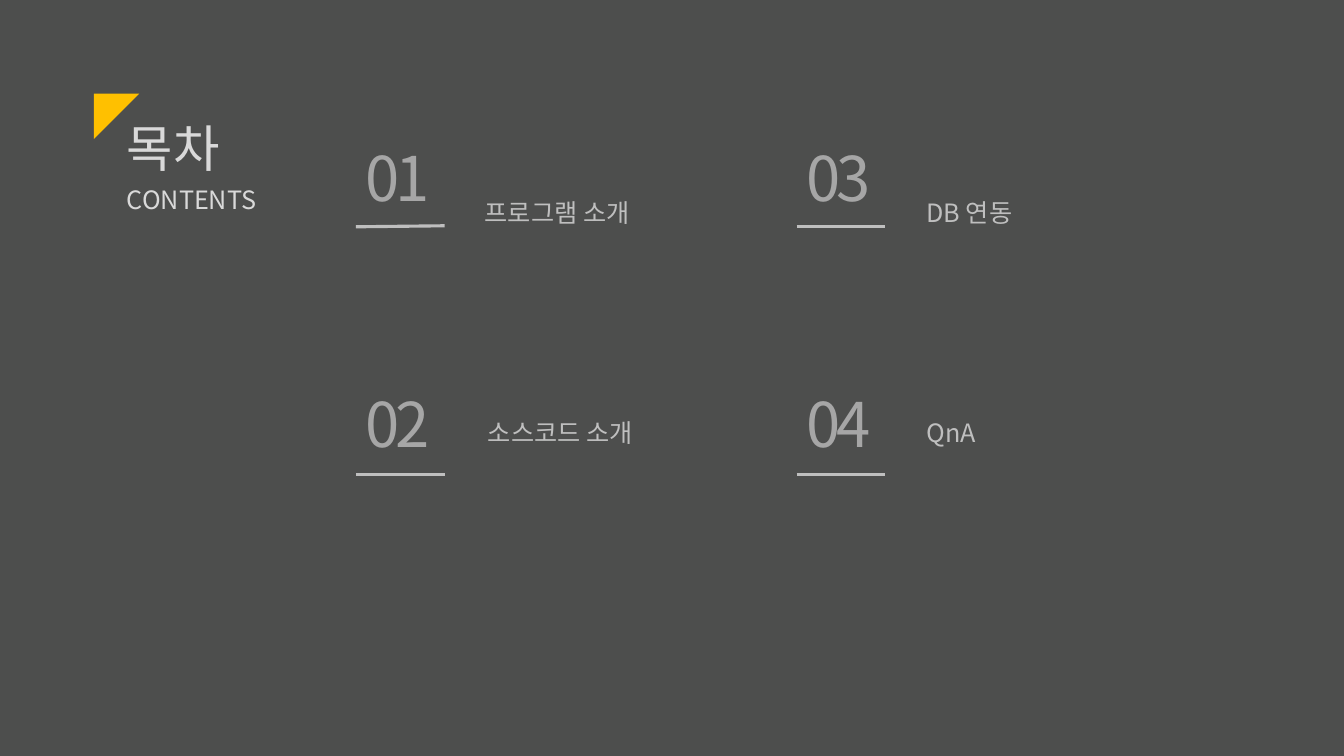
from lxml.etree import SubElement
from pptx import Presentation
from pptx.dml.color import RGBColor
from pptx.enum.shapes import MSO_CONNECTOR, MSO_SHAPE
from pptx.enum.text import MSO_AUTO_SIZE
from pptx.oxml.ns import qn
from pptx.util import Inches, Pt

COLORS = {
    "background": "4D4E4D",
    "heading": "D9D9D9",
    "number": "A6A6A6",
    "topic": "BFBFBF",
    "accent": "FFC000",
}


class ContentsSlide:
    font = "Noto Sans CJK KR"

    def __init__(self, deck):
        self.slide = deck.slides.add_slide(deck.slide_layouts[6])
        background = self.slide.background.fill
        background.solid()
        background.fore_color.rgb = self.color("background")

    def color(self, name):
        return RGBColor.from_string(COLORS[name])

    def text(self, words, left, top, width, height, size, color, spacing=0):
        box = self.slide.shapes.add_textbox(
            Inches(left), Inches(top), Inches(width), Inches(height))
        frame = box.text_frame
        frame.word_wrap = True
        frame.auto_size = MSO_AUTO_SIZE.SHAPE_TO_FIT_TEXT
        run = frame.paragraphs[0].add_run()
        run.text = words
        run.font.size = Pt(size)
        run.font.color.rgb = self.color(color)
        run.font.name = self.font
        properties = run.font._element
        SubElement(properties, qn("a:ea")).set("typeface", self.font)
        if spacing:
            properties.set("spc", str(spacing * 100))

    def rule(self, left, top, width, rise=0):
        line = self.slide.shapes.add_connector(
            MSO_CONNECTOR.STRAIGHT, Inches(left), Inches(top),
            Inches(left + width), Inches(top - rise))
        line.line.color.rgb = self.color("topic")
        line.line.width = Pt(2.25)
        SubElement(line._element.spPr, qn("a:effectLst"))

    def corner(self, left, top, side):
        triangle = self.slide.shapes.add_shape(
            MSO_SHAPE.RIGHT_TRIANGLE, Inches(left), Inches(top),
            Inches(side), Inches(side))
        triangle.rotation = 90
        triangle.shadow.inherit = False
        triangle.fill.solid()
        triangle.fill.fore_color.rgb = self.color("accent")
        triangle.line.fill.background()


deck = Presentation()
deck.slide_width = Inches(13.33)
deck.slide_height = Inches(7.5)
contents = ContentsSlide(deck)

contents.corner(0.93, 0.93, 0.45)
contents.text("목차", 1.16, 1.11, 1.79, 0.71, 36, "heading")
contents.text("CONTENTS", 1.16, 1.78, 1.79, 0.4, 18, "heading")

column_lefts = (3.53, 7.9)
rows = ((1.34, 1.91, 2.25), (3.78, 4.09, 4.71))
topics = (
    ("프로그램 소개", 4.71, 0.01),
    ("소스코드 소개", 4.74, 0),
    ("DB 연동", 9.09, 0),
    ("QnA", 9.09, 0),
)

for index, (topic, topic_left, rise) in enumerate(topics):
    column, row = divmod(index, len(rows))
    left = column_lefts[column]
    number_top, topic_top, rule_top = rows[row]
    contents.text(f"{index + 1:02}", left, number_top, 0.88, 0.84, 44, "number", -3)
    contents.rule(left, rule_top, 0.88, rise)
    contents.text(topic, topic_left, topic_top, 2.36, 0.4, 18, "topic")

deck.save("out.pptx")
